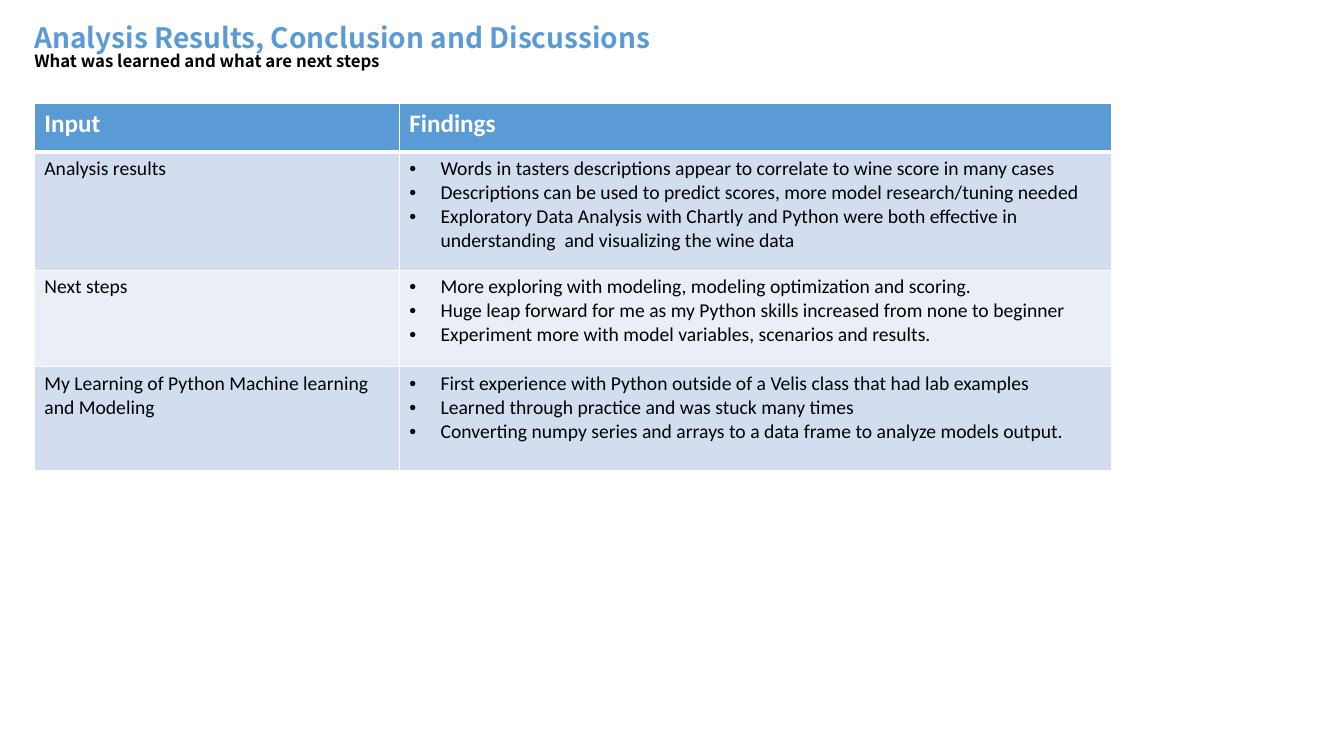
import lxml.etree
import pptx
import pptx.dml.color
import pptx.enum.text
import pptx.oxml.ns
import pptx.util

BLUE = pptx.dml.color.RGBColor(0x5B, 0x9B, 0xD5)
BLACK = pptx.dml.color.RGBColor(0x00, 0x00, 0x00)
WHITE = pptx.dml.color.RGBColor(0xFF, 0xFF, 0xFF)
BAND_DARK = pptx.dml.color.RGBColor(0xD2, 0xDE, 0xEF)
BAND_LIGHT = pptx.dml.color.RGBColor(0xEA, 0xEF, 0xF7)

inches = pptx.util.Inches
LEFT = inches(0.34)
COLUMN_WIDTHS = [3.62, 7.07]
ROW_HEIGHTS = [0.48, 1.17, 0.96, 1.03]
BULLET_INDENT = inches(0.31)

FINDINGS = [
    ("Analysis results", [
        "Words in tasters descriptions appear to correlate to wine score in many cases",
        "Descriptions can be used to predict scores, more model research/tuning needed",
        "Exploratory Data Analysis with Chartly and Python were both effective in "
        "understanding  and visualizing the wine data",
    ]),
    ("Next steps", [
        "More exploring with modeling, modeling optimization and scoring.",
        "Huge leap forward for me as my Python skills increased from none to beginner",
        "Experiment more with model variables, scenarios and results.",
    ]),
    ("My Learning of Python Machine learning and Modeling", [
        "First experience with Python outside of a Velis class that had lab examples",
        "Learned through practice and was stuck many times",
        "Converting numpy series and arrays to a data frame to analyze models output.",
    ]),
]


def write_text(frame, text, font="Calibri", size=14, color=BLACK, bold=False,
               spacing=None, bullet=False):
    """Fill the first paragraph if it is empty, otherwise add one."""
    paragraph = frame.paragraphs[0] if not frame.text else frame.add_paragraph()
    paragraph.alignment = pptx.enum.text.PP_ALIGN.LEFT
    paragraph.line_spacing = spacing
    run = paragraph.add_run()
    run.text = text
    run.font.name = font
    run.font.size = pptx.util.Pt(size)
    run.font.bold = bold
    run.font.color.rgb = color
    if bullet:
        properties = paragraph._p.get_or_add_pPr()
        properties.set("marL", str(BULLET_INDENT))
        properties.set("indent", str(-BULLET_INDENT))
        for tag, name, value in (("a:buFont", "typeface", "Arial"), ("a:buChar", "char", "•")):
            mark = lxml.etree.SubElement(properties, pptx.oxml.ns.qn(tag))
            mark.set(name, value)


def draw_border(cell, side, points):
    """Draw one white cell edge; call before the fill is set."""
    line = lxml.etree.SubElement(cell._tc.get_or_add_tcPr(), pptx.oxml.ns.qn("a:ln" + side))
    line.set("w", str(pptx.util.Pt(points)))
    fill = lxml.etree.SubElement(line, pptx.oxml.ns.qn("a:solidFill"))
    lxml.etree.SubElement(fill, pptx.oxml.ns.qn("a:srgbClr")).set("val", str(WHITE))


presentation = pptx.Presentation()
presentation.slide_width = inches(13.33)
presentation.slide_height = inches(7.5)
slide = presentation.slides.add_slide(presentation.slide_layouts[5])

# Title and subtitle
title = slide.shapes.title
title.left, title.top, title.width, title.height = LEFT, inches(0.25), inches(9), inches(0.54)
title_frame = title.text_frame
title_frame.margin_left = title_frame.margin_right = 0
title_frame.margin_top = title_frame.margin_bottom = 0
title_frame.word_wrap = True
title_frame.auto_size = pptx.enum.text.MSO_AUTO_SIZE.NONE
title_frame.vertical_anchor = pptx.enum.text.MSO_ANCHOR.TOP
for text, size, color in (
    ("Analysis Results, Conclusion and Discussions", 20, BLUE),
    ("What was learned and what are next steps", 12, BLACK),
):
    write_text(title_frame, text, font="Noto Sans CJK KR", size=size, color=color,
               bold=True, spacing=0.85)

# Table grid
table = slide.shapes.add_table(
    len(ROW_HEIGHTS), len(COLUMN_WIDTHS), LEFT, inches(1.03),
    inches(sum(COLUMN_WIDTHS)), inches(sum(ROW_HEIGHTS))).table
for column, width in zip(table.columns, COLUMN_WIDTHS):
    column.width = inches(width)
for row_index, (row, height) in enumerate(zip(table.rows, ROW_HEIGHTS)):
    row.height = inches(height)
    band = BAND_DARK if row_index % 2 else BAND_LIGHT
    for cell in row.cells:
        for side in "LRTB":
            under_header = (row_index, side) in ((0, "B"), (1, "T"))
            draw_border(cell, side, 3 if under_header else 1)
        cell.fill.solid()
        cell.fill.fore_color.rgb = band if row_index else BLUE

# Table text
for column_index, heading in enumerate(("Input", "Findings")):
    write_text(table.cell(0, column_index).text_frame, heading, size=18, color=WHITE, bold=True)
for row_index, (topic, points) in enumerate(FINDINGS, start=1):
    write_text(table.cell(row_index, 0).text_frame, topic)
    for point in points:
        write_text(table.cell(row_index, 1).text_frame, point, bullet=True)

presentation.save("out.pptx")
